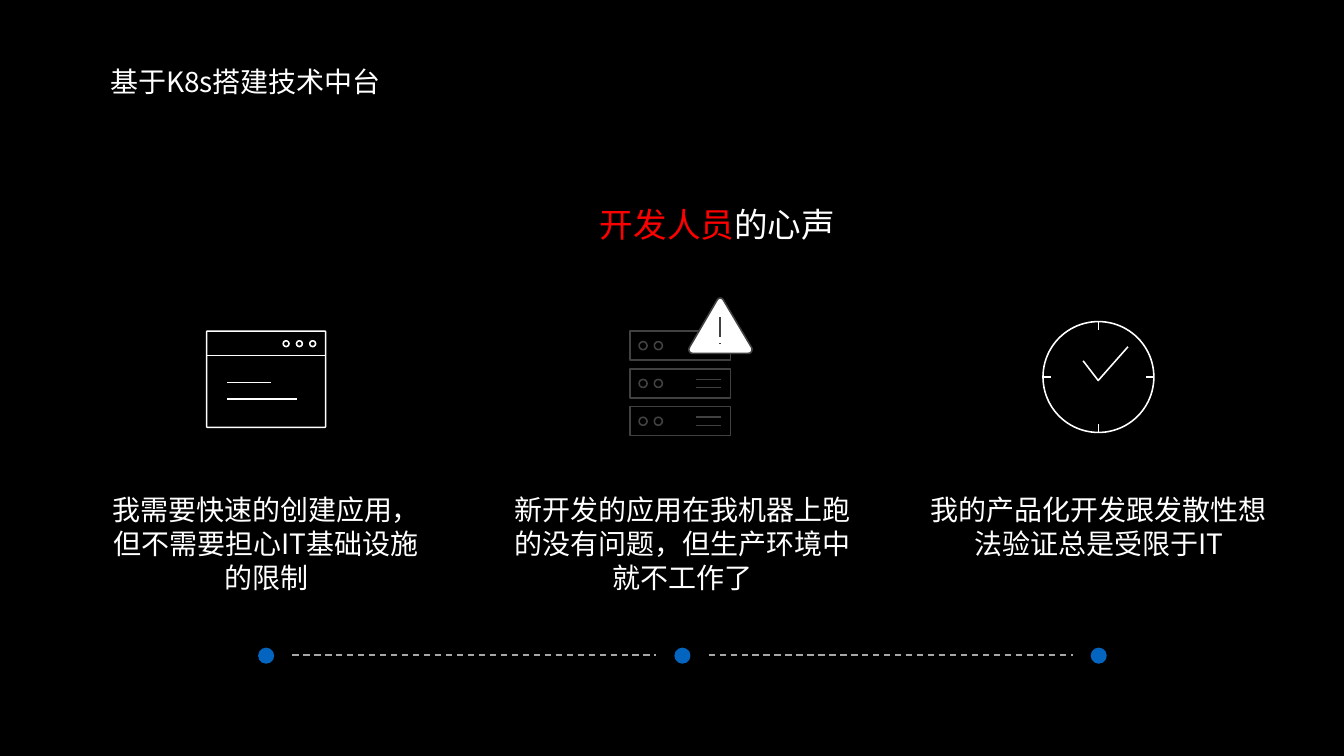
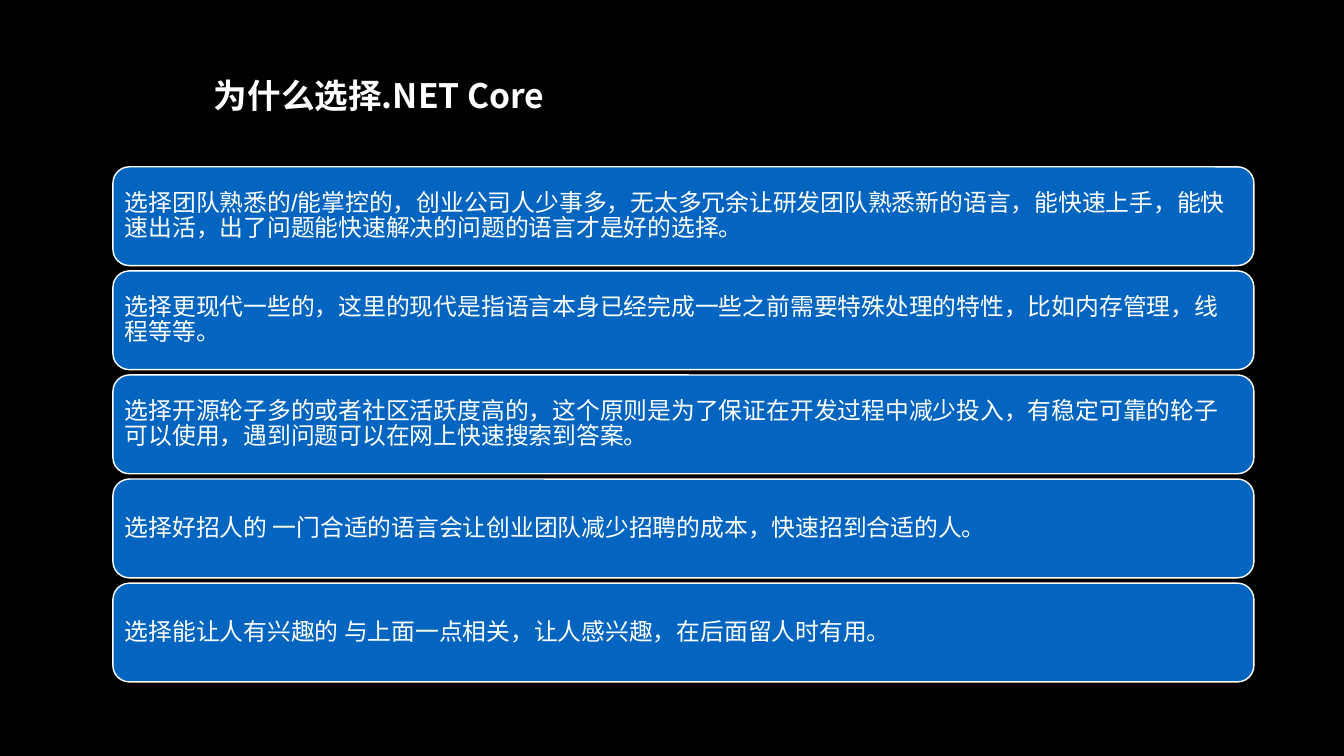
from lxml import etree
from pptx import Presentation
from pptx.dml.color import RGBColor
from pptx.enum import dml, shapes, text
from pptx.oxml import ns
from pptx.util import Pt

COLORS = {"ground": "000000", "text": "FFFFFF", "accent": "FF0000",
          "blue": "0365C0", "dash": "A7A7A7", "server": "414142"}
CJK_FONT = "Noto Sans CJK SC"
BOX_FONT = "Arial"

VOICES_TITLE = "基于K8s搭建技术中台"
VOICES_HEADING = [("开发人员", "accent"), ("的心声", "text")]
VOICES = [
    ("我需要快速的创建应用，但不需要担心IT基础设施的限制", 499),
    ("新开发的应用在我机器上跑的没有问题，但生产环境中就不工作了", 559.4),
    ("我的产品化开发跟发散性想法验证总是受限于IT", 559.4),
]
REASONS_TITLE = "为什么选择.NET Core"
REASONS = [
    "选择团队熟悉的/能掌控的，创业公司人少事多，无太多冗余让研发团队熟悉新的语言，能快速上手，能快速出活，出了问题能快速解决的问题的语言才是好的选择。",
    "选择更现代一些的，这里的现代是指语言本身已经完成一些之前需要特殊处理的特性，比如内存管理，线程等等。",
    "选择开源轮子多的或者社区活跃度高的，这个原则是为了保证在开发过程中减少投入，有稳定可靠的轮子可以使用，遇到问题可以在网上快速搜索到答案。",
    "选择好招人的 一门合适的语言会让创业团队减少招聘的成本，快速招到合适的人。",
    "选择能让人有兴趣的 与上面一点相关，让人感兴趣，在后面留人时有用。",
]
FIRST_COLUMN, COLUMN_STEP = 380.2, 594.7
WARNING_CORNERS = [
    [(1073.5, 496.1), (1075.7, 499.7), (1073.5, 504.7), (1069.2, 504.7)],
    [(989.3, 504.7), (985, 504.7), (982.8, 499.7), (985, 496.1)],
    [(1024.6, 428.4), (1026.7, 424.8), (1031.3, 424.8), (1033.2, 428.4)],
]


def rgb(color):
    return RGBColor.from_string(COLORS[color])


def write(frame, runs, size, inset, font=CJK_FONT, bold=False,
          align=text.PP_ALIGN.CENTER, anchor=text.MSO_ANCHOR.TOP):
    frame.word_wrap = True
    frame.auto_size = text.MSO_AUTO_SIZE.NONE
    frame.vertical_anchor = anchor
    frame.margin_left = frame.margin_right = Pt(inset[0])
    frame.margin_top = frame.margin_bottom = Pt(inset[1])
    paragraph = frame.paragraphs[0]
    paragraph.alignment = align
    for words, color in runs:
        run = paragraph.add_run()
        run.text = words
        run.font.size = Pt(size)
        run.font.bold = bold
        run.font.color.rgb = rgb(color)
        run.font.name = font
        etree.SubElement(run.font._element, ns.qn("a:ea"), typeface=CJK_FONT)
    return paragraph


def add_title(slide, words, box, **style):
    title = slide.shapes.title
    title.left, title.top, title.width, title.height = map(Pt, box)
    write(title.text_frame, [(words, "text")], **style)


def add_words(slide, runs, box, size, inset):
    frame = slide.shapes.add_textbox(*map(Pt, box)).text_frame
    write(frame, runs, size, inset)


def paint(shape, fill=None, line=None, width=2.25):
    shape.shadow.inherit = False
    if fill:
        shape.fill.solid()
        shape.fill.fore_color.rgb = rgb(fill)
    else:
        shape.fill.background()
    if line:
        shape.line.color.rgb = rgb(line)
        shape.line.width = Pt(width)
    else:
        shape.line.fill.background()
    return shape


def add_box(slide, kind, box, **look):
    return paint(slide.shapes.add_shape(kind, *map(Pt, box)), **look)


def add_circle(slide, x, y, size, **look):
    box = (x - size / 2, y - size / 2, size, size)
    add_box(slide, shapes.MSO_SHAPE.OVAL, box, **look)


def add_line(slide, x1, y1, x2, y2, color, dashed=False):
    line = slide.shapes.add_connector(
        shapes.MSO_CONNECTOR.STRAIGHT, Pt(x1), Pt(y1), Pt(x2), Pt(y2))
    line.line.color.rgb = rgb(color)
    line.line.width = Pt(2.25)
    if dashed:
        line.line.dash_style = dml.MSO_LINE.DASH
    etree.SubElement(line._element.spPr, ns.qn("a:effectLst"))


def add_outline(slide, points, close, **look):
    points = [(Pt(x), Pt(y)) for x, y in points]
    outline = slide.shapes.build_freeform(*points[0], scale=1.0)
    outline.add_line_segments(points[1:], close=close)
    paint(outline.convert_to_shape(), **look)


def curve(controls, steps=8):
    points = []
    for step in range(steps + 1):
        t = step / steps
        weights = ((1 - t) ** 3, 3 * t * (1 - t) ** 2, 3 * t * t * (1 - t), t ** 3)
        points.append(tuple(sum(w * c[axis] for w, c in zip(weights, controls))
                            for axis in (0, 1)))
    return points


def draw_browser(slide):
    left, top, width = 295.2, 473, 170
    window = add_box(slide, shapes.MSO_SHAPE.ROUNDED_RECTANGLE,
                     (left, top, width, 137.5), line="text")
    window.adjustments[0] = 0.01
    add_line(slide, left, 507.6, left + width, 507.6, "text")
    for button in range(3):
        add_circle(slide, 408.7 + 19 * button, 491, 8.3, line="text")
    for right, y in ((424.8, 570.2), (387.4, 546.5)):
        add_line(slide, 324.7, y, right, y, "text")


def draw_servers(slide):
    for row in range(3):
        top = 473 + 54 * row
        add_box(slide, shapes.MSO_SHAPE.RECTANGLE, (900, top, 143.3, 41.5),
                line="server")
        for x in (918.7, 940.5):
            add_circle(slide, x, top + 20.8, 11.5, line="server")
        for offset in (15.1, 26.6):
            add_line(slide, 994.3, top + offset, 1029.6, top + offset, "server")
    corners = [point for corner in WARNING_CORNERS for point in curve(corner)]
    add_outline(slide, corners, True, fill="text", line="server")
    for top, bottom in ((452.2, 481), (490.5, 491.5)):
        add_line(slide, 1028.2, top, 1028.2, bottom, "server")


def draw_clock(slide):
    x, y, radius, tick = 1569.2, 538.6, 79.2, 11.5
    add_circle(slide, x, y, 2 * radius, line="text")
    add_outline(slide, [(1611.4, 495.4), (1568.9, 543.6), (1547.3, 515.5)],
                False, line="text")
    for dx, dy in ((0, -1), (0, 1), (1, 0), (-1, 0)):
        inner = radius - tick
        add_line(slide, x + dx * radius, y + dy * radius,
                 x + dx * inner, y + dy * inner, "text")


def build_voices(slide):
    add_title(slide, VOICES_TITLE, (92.2, 86.4, 517, 59.8), size=40,
              inset=(5.8, 5.8), anchor=text.MSO_ANCHOR.MIDDLE)
    add_words(slide, VOICES_HEADING, (536.4, 288, 977, 65.5), 48, (7.2, 3.6))
    centers = [FIRST_COLUMN + COLUMN_STEP * i for i in range(len(VOICES))]
    for center, (words, width) in zip(centers, VOICES):
        add_words(slide, [(words, "text")],
                  (center - width / 2, 681.8, width, 190.8), 40, (22.3, 22.3))
        add_circle(slide, center, 936.7, 23, fill="blue")
    for start, end in zip(centers, centers[1:]):
        add_line(slide, start + 37.4, 936, end - 37.4, 936, "dash", dashed=True)
    draw_browser(slide)
    draw_servers(slide)
    draw_clock(slide)


def build_reasons(slide):
    add_title(slide, REASONS_TITLE, (106.6, 103, 869.8, 65.5), size=48,
              inset=(7.2, 3.6), bold=True)
    for row, reason in enumerate(REASONS):
        panel = add_box(slide, shapes.MSO_SHAPE.ROUNDED_RECTANGLE,
                        (161.3, 238.3 + 148.7 * row, 1630, 141.1),
                        fill="blue", line="text", width=2)
        paragraph = write(panel.text_frame, [(reason, "text")], 34, (10.1, 10.1),
                          font=BOX_FONT, align=text.PP_ALIGN.LEFT,
                          anchor=text.MSO_ANCHOR.MIDDLE)
        paragraph.line_spacing = 0.9


def main():
    deck = Presentation()
    deck.slide_width, deck.slide_height = Pt(1920), Pt(1080)
    ground = deck.slide_master.background.fill
    ground.solid()
    ground.fore_color.rgb = rgb("ground")
    for build in (build_voices, build_reasons):
        build(deck.slides.add_slide(deck.slide_layouts[5]))
    deck.save("out.pptx")


if __name__ == "__main__":
    main()
